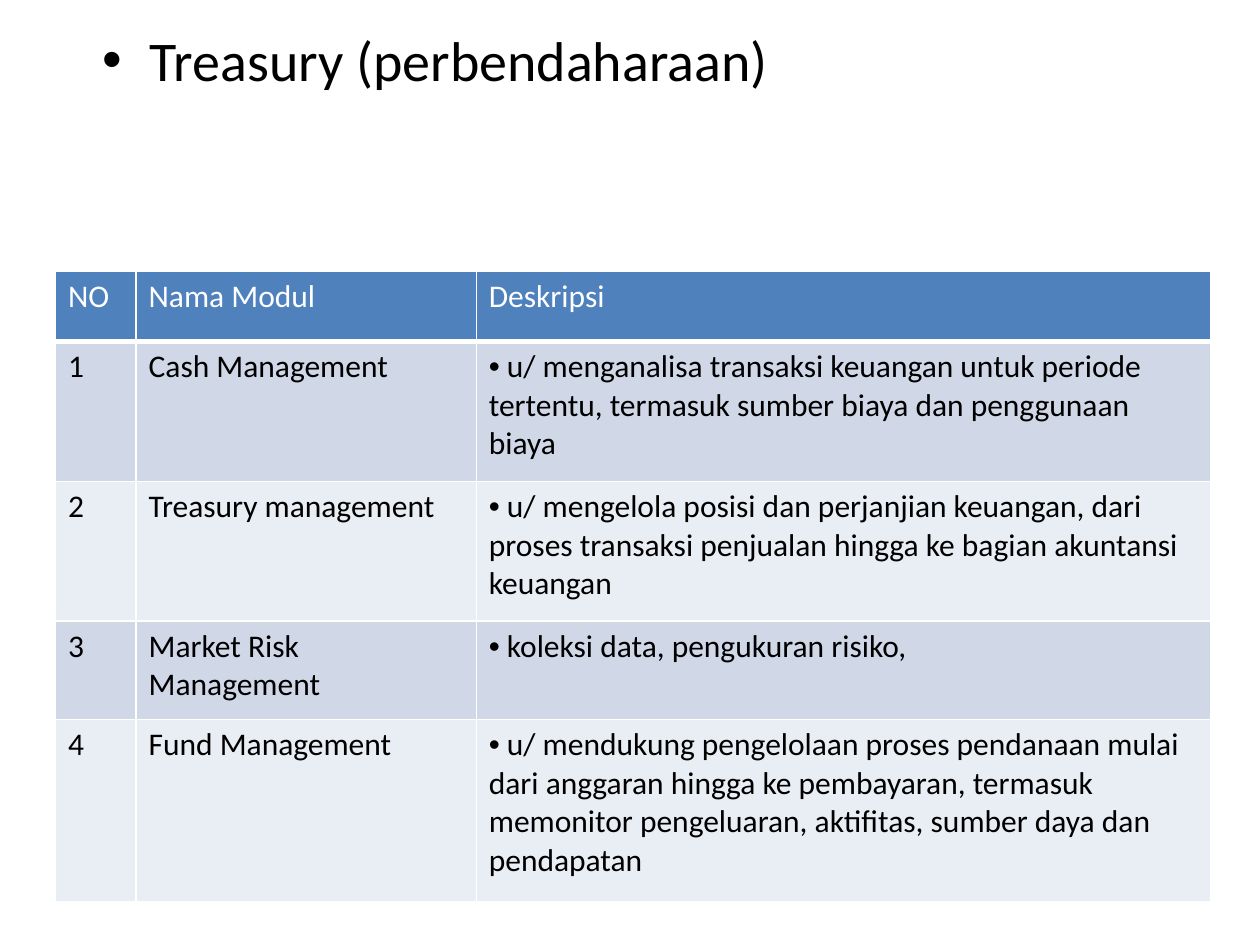
from dataclasses import dataclass

from lxml import etree
from pptx import Presentation
from pptx.dml.color import RGBColor
from pptx.enum import text as t
from pptx.oxml import ns
from pptx.util import Inches, Pt


@dataclass(frozen=True)
class Theme:
    font: str = "Calibri"
    ink: str = "000000"
    white: str = "FFFFFF"
    header: str = "4F81BD"
    bands: tuple = ("D0D8E8", "E9EDF4")
    title_size: int = 32
    table_size: int = 18


THEME = Theme()
HEADINGS = ("NO", "Nama Modul", "Deskripsi")
MODULES = (
    ("Cash Management",
     "u/ menganalisa transaksi keuangan untuk periode tertentu, termasuk "
     "sumber biaya dan penggunaan biaya"),
    ("Treasury management",
     "u/ mengelola posisi dan perjanjian keuangan, dari proses transaksi "
     "penjualan hingga ke bagian akuntansi keuangan"),
    ("Market Risk Management", "koleksi data, pengukuran risiko,"),
    ("Fund Management",
     "u/ mendukung pengelolaan proses pendanaan mulai dari anggaran hingga ke "
     "pembayaran, termasuk memonitor pengeluaran, aktifitas, sumber daya dan "
     "pendapatan"),
)
COLUMN_WIDTHS = (0.64, 2.7, 5.83)
ROW_HEIGHTS = (0.56, 1.11, 1.11, 0.78, 1.45)


def add_bullet(paragraph, hang=0):
    """Give the paragraph a round bullet with a hanging indent in inches."""
    props = paragraph._p.get_or_add_pPr()
    props.set("marL", str(Inches(hang)))
    props.set("indent", str(-Inches(hang)))
    etree.SubElement(props, ns.qn("a:buFont")).set("typeface", "Arial")
    etree.SubElement(props, ns.qn("a:buChar")).set("char", "•")


def format_text(paragraph, size, color):
    for run in paragraph.runs:
        run.font.name = THEME.font
        run.font.size = Pt(size)
        run.font.bold = False
        run.font.color.rgb = RGBColor.from_string(color)


def add_borders(cell, bottom_width=1):
    props = cell._tc.get_or_add_tcPr()
    for side, width in (("L", 1), ("R", 1), ("T", 1), ("B", bottom_width)):
        line = etree.SubElement(props, ns.qn(f"a:ln{side}"), w=str(Pt(width)))
        fill = etree.SubElement(line, ns.qn("a:solidFill"))
        etree.SubElement(fill, ns.qn("a:srgbClr"), val=THEME.white)


def place_title(slide, left, top, width, height):
    title = slide.shapes.title
    title.left, title.top = Inches(left), Inches(top)
    title.width, title.height = Inches(width), Inches(height)
    frame = title.text_frame
    frame.text = "Treasury (perbendaharaan)"
    frame.vertical_anchor = t.MSO_ANCHOR.TOP
    frame.auto_size = t.MSO_AUTO_SIZE.NONE
    heading = frame.paragraphs[0]
    heading.alignment = t.PP_ALIGN.LEFT
    heading.space_before = Pt(0)
    add_bullet(heading, hang=0.38)
    format_text(heading, THEME.title_size, THEME.ink)


def place_module_table(slide, left, top, width, height):
    rows = [HEADINGS]
    for number, (module, description) in enumerate(MODULES, 1):
        rows.append((str(number), module, f" {description}"))
    table = slide.shapes.add_table(
        len(rows), len(HEADINGS),
        Inches(left), Inches(top), Inches(width), Inches(height)).table
    for column, column_width in zip(table.columns, COLUMN_WIDTHS):
        column.width = Inches(column_width)
    for row, row_height in zip(table.rows, ROW_HEIGHTS):
        row.height = Inches(row_height)

    for r, values in enumerate(rows):
        is_header = r == 0
        band = THEME.header if is_header else THEME.bands[(r - 1) % 2]
        for c, value in enumerate(values):
            cell = table.cell(r, c)
            cell.text_frame.text = value
            entry = cell.text_frame.paragraphs[0]
            # Descriptions are bulleted
            if not is_header and c == len(HEADINGS) - 1:
                add_bullet(entry)
            format_text(entry, THEME.table_size,
                        THEME.white if is_header else THEME.ink)
            add_borders(cell, bottom_width=3 if is_header else 1)
            cell.fill.solid()
            cell.fill.fore_color.rgb = RGBColor.from_string(band)


def main():
    deck = Presentation()
    deck.slide_width, deck.slide_height = Inches(10), Inches(7.5)
    slide = deck.slides.add_slide(deck.slide_layouts.get_by_name("Title Only"))
    place_title(slide, 0.71, 0.15, 8.62, 1.72)
    place_module_table(slide, 0.44, 2.15, sum(COLUMN_WIDTHS), sum(ROW_HEIGHTS))
    deck.save("out.pptx")


if __name__ == "__main__":
    main()
